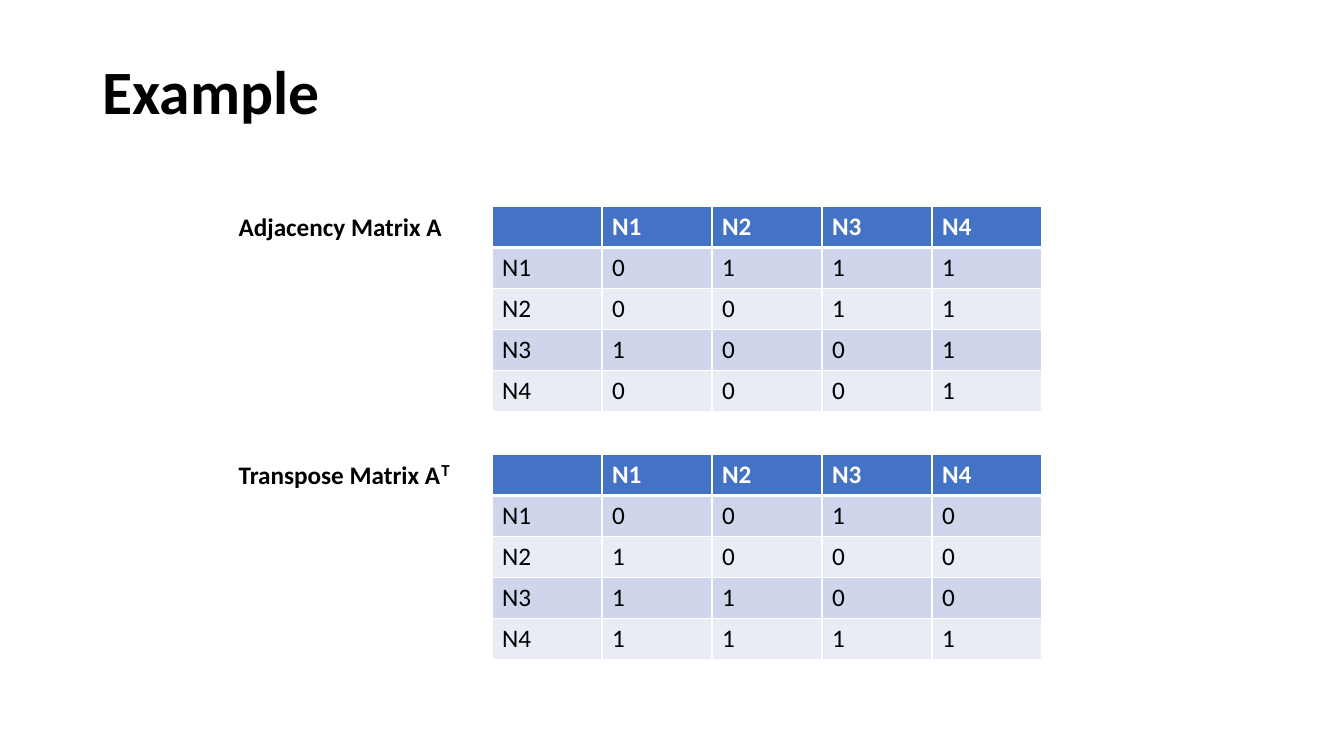
from lxml.etree import SubElement
from pptx import Presentation
from pptx.dml.color import RGBColor
from pptx.enum.text import MSO_ANCHOR, MSO_AUTO_SIZE, PP_ALIGN
from pptx.oxml.ns import qn
from pptx.util import Pt

COLORS = {
    "text": "000000",
    "white": "FFFFFF",
    "header": "4472C4",
    "odd": "CFD5EA",
    "even": "E9EBF5",
}
NODES = ["N1", "N2", "N3", "N4"]
ADJACENCY = [(0, 1, 1, 1), (0, 0, 1, 1), (1, 0, 0, 1), (0, 0, 0, 1)]
TRANSPOSE = list(zip(*ADJACENCY))


def add_run(paragraph, text, size, color="text", bold=True):
    run = paragraph.add_run()
    run.text = text
    run.font.name = "Calibri"
    run.font.size = Pt(size)
    run.font.bold = bold
    run.font.color.rgb = RGBColor.from_string(COLORS[color])


def add_title(slide, left, top, width, height):
    title = slide.shapes.title
    title.left, title.top = Pt(left), Pt(top)
    title.width, title.height = Pt(width), Pt(height)
    title.text_frame.vertical_anchor = MSO_ANCHOR.MIDDLE
    heading = title.text_frame.paragraphs[0]
    heading.alignment = PP_ALIGN.LEFT
    heading.line_spacing = 0.9
    add_run(heading, "Example", 44)


def add_label(slide, text, size, left, top, width, height, wrap=False):
    label = slide.shapes.add_textbox(Pt(left), Pt(top), Pt(width), Pt(height))
    label.text_frame.word_wrap = wrap
    label.text_frame.auto_size = MSO_AUTO_SIZE.SHAPE_TO_FIT_TEXT
    add_run(label.text_frame.paragraphs[0], text, size)


def set_borders(cell, top, bottom):
    properties = cell._tc.get_or_add_tcPr()
    for side, weight in (("L", 1), ("R", 1), ("T", top), ("B", bottom)):
        border = SubElement(properties, qn(f"a:ln{side}"), w=str(Pt(weight)))
        fill = SubElement(border, qn("a:solidFill"))
        SubElement(fill, qn("a:srgbClr"), val=COLORS["white"])


def add_matrix(slide, values, left, top, width, height):
    rows = [["", *NODES]]
    rows += [[node, *map(str, row)] for node, row in zip(NODES, values)]
    count = len(rows)
    matrix = slide.shapes.add_table(
        count, count, Pt(left), Pt(top), Pt(width), Pt(height)
    ).table
    for column in matrix.columns:
        column.width = Pt(width / count)
    for r, row in enumerate(rows):
        matrix.rows[r].height = Pt(height / count)
        header = r == 0
        band = "header" if header else ("odd" if r % 2 else "even")
        for c, text in enumerate(row):
            cell = matrix.cell(r, c)
            set_borders(cell, 3 if r == 1 else 1, 3 if header else 1)
            cell.fill.solid()
            cell.fill.fore_color.rgb = RGBColor.from_string(COLORS[band])
            if text:
                color = "white" if header else "text"
                add_run(cell.text_frame.paragraphs[0], text, 18, color, header)


def add_matrix_block(slide, caption, values, left, top, width, height):
    table_offset = 188
    add_matrix(slide, values, left + table_offset, top, width - table_offset, height)
    add_label(slide, caption, 18, left, top, 160, 29)


def build_example_slide(slide, width):
    block_left, block_width, block_height = 163.4, 581, 146.2
    adjacency_top, transpose_top = 147.6, 324.7
    add_title(slide, 66, 28.8, width - 132, 77)
    add_matrix_block(slide, "Adjacency Matrix A", ADJACENCY,
                     block_left, adjacency_top, block_width, block_height)
    add_matrix_block(slide, "Transpose Matrix A", TRANSPOSE,
                     block_left, transpose_top, block_width, block_height)
    add_label(slide, "T", 12, block_left + 144.8, transpose_top, 19.4, 21.6, True)


presentation = Presentation()
presentation.slide_width, presentation.slide_height = Pt(960), Pt(540)
example = presentation.slides.add_slide(presentation.slide_layouts[5])
build_example_slide(example, 960)
presentation.save("out.pptx")
